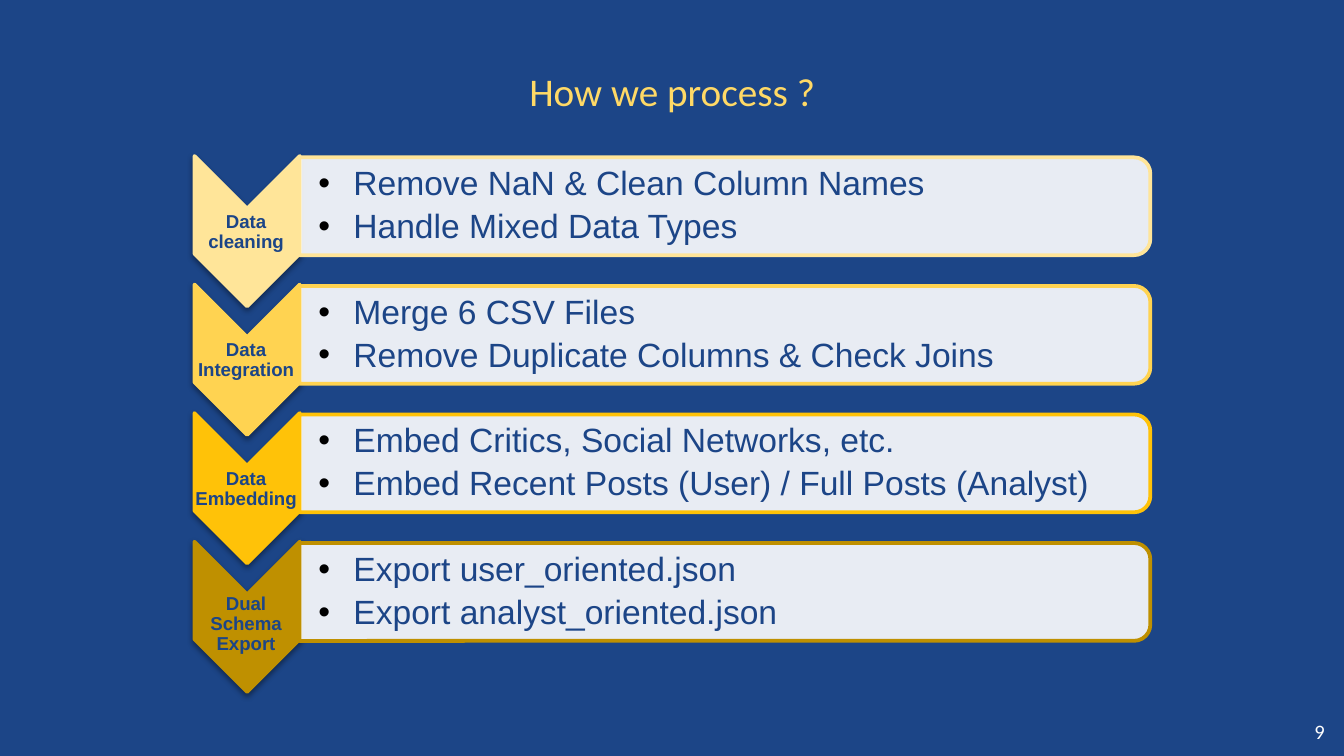
from lxml import etree
from pptx import Presentation
from pptx import util as u
from pptx.dml.color import RGBColor
from pptx.enum import shapes, text
from pptx.oxml.ns import qn

NAVY = RGBColor(0x1C, 0x45, 0x87)
GOLD = RGBColor(0xFF, 0xD9, 0x66)
WHITE = RGBColor(0xFF, 0xFF, 0xFF)

# label, accent colour, label shift in cm, details
STEPS = [
    ("Data cleaning", RGBColor(0xFF, 0xE5, 0x99), 0,
     ["Remove NaN & Clean Column Names", "Handle Mixed Data Types"]),
    ("Data Integration", RGBColor(0xFF, 0xD3, 0x51), 0,
     ["Merge 6 CSV Files", "Remove Duplicate Columns & Check Joins"]),
    ("Data Embedding", RGBColor(0xFF, 0xC2, 0x08), 0,
     ["Embed Critics, Social Networks, etc.",
      "Embed Recent Posts (User) / Full Posts (Analyst)"]),
    ("Dual Schema Export", RGBColor(0xBF, 0x90, 0x00), 0.12,
     ["Export user_oriented.json", "Export analyst_oriented.json"]),
]
FIRST_ROW = 3.9  # centre of the first row, cm
ROW_PITCH = 2.43


def add_xml(parent, tag, **attributes):
    return etree.SubElement(parent, qn(tag), attributes)


class ProcessSlide:
    """Holds the slide and its style; all lengths are in centimetres."""

    def __init__(self, deck):
        self.slide = deck.slides.add_slide(deck.slide_layouts[5])
        self.slide.background.fill.solid()
        self.slide.background.fill.fore_color.rgb = NAVY

    def add_words(self, paragraph, words, size, color, font="Arial", bold=False):
        run = paragraph.add_run()
        run.text = words
        run.font.size = u.Pt(size)
        run.font.name = font
        run.font.bold = bold
        run.font.color.rgb = color

    def frame(self, holder, anchor, insets):
        frame = holder.text_frame
        frame.word_wrap = True
        frame.auto_size = text.MSO_AUTO_SIZE.NONE
        frame.vertical_anchor = anchor
        (frame.margin_left, frame.margin_top,
         frame.margin_right, frame.margin_bottom) = map(u.Cm, insets)
        return frame

    def title(self, words):
        title = self.slide.shapes.title
        title.left, title.top = u.Cm(0.87), u.Cm(0.82)
        title.width, title.height = u.Cm(23.67), u.Cm(1.59)
        frame = self.frame(title, text.MSO_ANCHOR.BOTTOM, [0.25] * 4)
        frame.paragraphs[0].alignment = text.PP_ALIGN.CENTER
        self.add_words(frame.paragraphs[0], words, 21, GOLD, "Calibri")

    def text_box(self, left, top, width, height, insets):
        box = self.slide.shapes.add_textbox(
            u.Cm(left), u.Cm(top), u.Cm(width), u.Cm(height))
        return self.frame(box, text.MSO_ANCHOR.MIDDLE, insets)

    def turned_shape(self, kind, center_x, center_y, width, height, fill, line):
        """Add a shape turned by 90 degrees; width and height are as unturned."""
        shape = self.slide.shapes.add_shape(
            kind, u.Cm(center_x - width / 2), u.Cm(center_y - height / 2),
            u.Cm(width), u.Cm(height))
        shape.rotation = 90
        shape.shadow.inherit = False
        shape.fill.solid()
        shape.fill.fore_color.rgb = fill
        shape.line.color.rgb = line
        shape.line.width = u.Pt(2)
        return shape

    def chevron(self, center_y, color):
        chevron = self.turned_shape(
            shapes.MSO_SHAPE.CHEVRON, 4.67, center_y, 2.84, 1.99, color, color)
        effects = chevron._element.spPr.find(qn("a:effectLst"))
        shadow = add_xml(effects, "a:outerShdw", blurRad=str(u.Pt(3.1)),
                         dist=str(u.Pt(1.6)), dir="5400000", rotWithShape="0")
        black = add_xml(shadow, "a:srgbClr", val="000000")
        add_xml(black, "a:alpha", val="38000")

    def panel(self, center_y, color):
        panel = self.turned_shape(
            shapes.MSO_SHAPE.ROUND_2_SAME_RECTANGLE, 13.7, center_y,
            1.85, 16.08, WHITE, color)
        fill_color = panel._element.spPr.find(qn("a:solidFill"))[0]
        add_xml(fill_color, "a:alpha", val="90000")

    def label(self, center_y, words):
        frame = self.text_box(3.66, center_y - 0.43, 1.98, 0.86, [0.02] * 4)
        paragraph = frame.paragraphs[0]
        paragraph.alignment = text.PP_ALIGN.CENTER
        paragraph.line_spacing = 0.9
        self.add_words(paragraph, words, 10, NAVY, bold=True)

    def bullets(self, center_y, lines):
        frame = self.text_box(5.66, center_y - 0.84, 15.98, 1.68,
                              [0.36, 0.02, 0.02, 0.02])
        for index, words in enumerate(lines):
            paragraph = frame.add_paragraph() if index else frame.paragraphs[0]
            paragraph.line_spacing = 0.9
            paragraph.space_after = u.Pt(3.5)
            properties = paragraph._p.get_or_add_pPr()
            properties.set("marL", str(u.Cm(0.66)))
            properties.set("indent", str(u.Cm(-0.66)))
            bullet_color = add_xml(properties, "a:buClr")
            add_xml(bullet_color, "a:srgbClr", val="000000")
            add_xml(properties, "a:buFont", typeface="Arial")
            add_xml(properties, "a:buChar", char="•")
            self.add_words(paragraph, words, 18, NAVY)

    def page_number(self, number):
        frame = self.text_box(24.48, 13.36, 0.92, 0.93, [0.25] * 4)
        frame.paragraphs[0].alignment = text.PP_ALIGN.CENTER
        self.add_words(frame.paragraphs[0], number, 11, WHITE, "Calibri")


def main():
    deck = Presentation()
    deck.slide_width, deck.slide_height = u.Cm(25.4), u.Cm(14.29)
    page = ProcessSlide(deck)
    page.title("How we process ?")
    for row, (label, color, shift, details) in enumerate(STEPS):
        center_y = FIRST_ROW + row * ROW_PITCH
        page.chevron(center_y + 0.47, color)
        page.label(center_y + 0.49 + shift, label)
        page.panel(center_y, color)
        page.bullets(center_y, details)
    page.page_number("9")
    deck.save("out.pptx")


if __name__ == "__main__":
    main()
